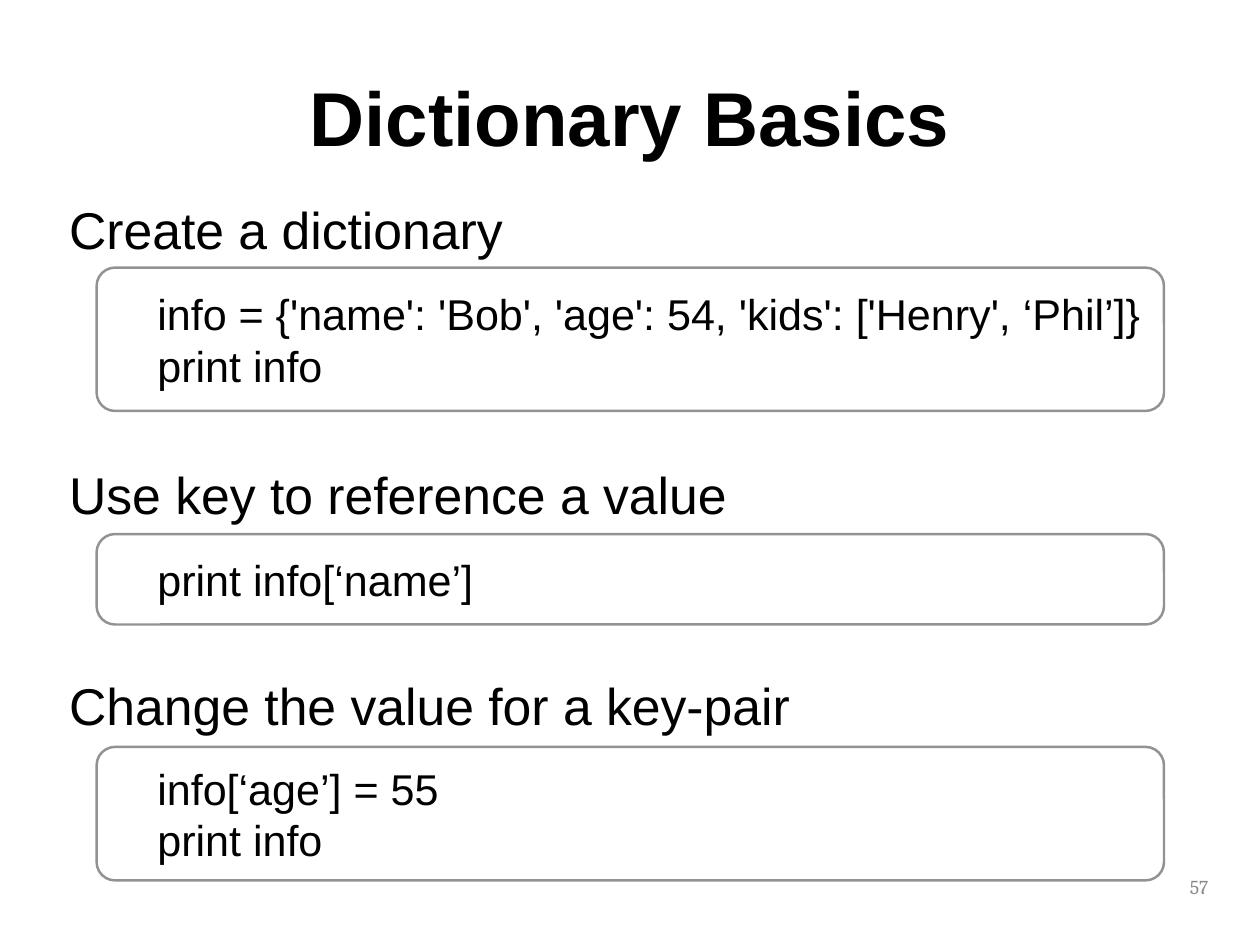
from dataclasses import dataclass

from pptx import Presentation
from pptx import util as u
from pptx.dml.color import RGBColor
from pptx.enum import shapes, text


@dataclass(frozen=True)
class Theme:
    ink: RGBColor = RGBColor(0x00, 0x00, 0x00)
    border: RGBColor = RGBColor(0x92, 0x92, 0x92)
    muted: RGBColor = RGBColor(0x88, 0x88, 0x88)
    font: str = "Arial"
    number_font: str = "Cambria"
    title_size: int = 62
    heading_size: int = 42
    code_size: int = 35
    number_size: int = 16


@dataclass(frozen=True)
class Box:
    left: float
    top: float
    width: float
    height: float

    def lengths(self) -> tuple:
        return tuple(u.Pt(v) for v in (self.left, self.top, self.width, self.height))


@dataclass(frozen=True)
class Section:
    heading: str
    heading_top: float
    code: tuple[str, ...]
    code_top: float
    code_height: float


THEME = Theme()
INSET = 5
HEADING_INSET = 10
CODE_INDENT = 40
CORNER_RADIUS = 15
TEXT_LEFT, TEXT_WIDTH, HEADING_HEIGHT = 51.2, 921.6, 67
CODE_LEFT, CODE_WIDTH = 78.5, 867.5

SECTIONS = (
    Section("Create a dictionary", 150.5,
            ("info = {'name': 'Bob', 'age': 54, 'kids': ['Henry', ‘Phil’]}", "print info"),
            217.5, 116.5),
    Section("Use key to reference a value", 366.5, ("print info[‘name’]",), 434, 73.5),
    Section("Change the value for a key-pair", 538,
            ("info[‘age’] = 55", "print info"), 607, 108.5),
)


def write(sp, lines: tuple[str, ...], size: int, *, color: RGBColor = THEME.ink,
          font: str = THEME.font, bold: bool = False, align=text.PP_ALIGN.LEFT,
          anchor=text.MSO_ANCHOR.MIDDLE, top_inset: float = INSET, indent: float = 0) -> None:
    tf = sp.text_frame
    tf.word_wrap = True
    tf.vertical_anchor = anchor
    tf.margin_left = tf.margin_right = tf.margin_bottom = u.Pt(INSET)
    tf.margin_top = u.Pt(top_inset)
    tf.text = "\n".join(lines)
    for p in tf.paragraphs:
        p.alignment = align
        if indent:
            pPr = p._p.get_or_add_pPr()
            pPr.set("marL", "0")
            pPr.set("indent", str(u.Pt(indent)))
        p.font.name = font
        p.font.size = u.Pt(size)
        p.font.bold = bold
        p.font.color.rgb = color


def add_label(s, box: Box, label: str, size: int, **style) -> None:
    write(s.shapes.add_textbox(*box.lengths()), (label,), size, **style)


def add_code_box(s, box: Box, lines: tuple[str, ...]) -> None:
    sp = s.shapes.add_shape(shapes.MSO_SHAPE.ROUNDED_RECTANGLE, *box.lengths())
    sp.adjustments[0] = CORNER_RADIUS / box.height
    sp.shadow.inherit = False
    sp.fill.background()
    sp.line.color.rgb = THEME.border
    sp.line.width = u.Pt(2)
    write(sp, lines, THEME.code_size, indent=CODE_INDENT)


def add_section(s, section: Section) -> None:
    add_label(s, Box(TEXT_LEFT, section.heading_top, TEXT_WIDTH, HEADING_HEIGHT),
              section.heading, THEME.heading_size,
              anchor=text.MSO_ANCHOR.TOP, top_inset=HEADING_INSET)
    add_code_box(s, Box(CODE_LEFT, section.code_top, CODE_WIDTH, section.code_height),
                 section.code)


def main() -> None:
    prs = Presentation()
    prs.slide_width, prs.slide_height = u.Pt(1024), u.Pt(768)
    s = prs.slides.add_slide(prs.slide_layouts[6])
    add_label(s, Box(TEXT_LEFT, 10, TEXT_WIDTH, 169), "Dictionary Basics",
              THEME.title_size, bold=True, align=text.PP_ALIGN.CENTER)
    for section in SECTIONS:
        add_section(s, section)
    add_label(s, Box(748, 705.5, 239, 29.5), "57", THEME.number_size, color=THEME.muted,
              font=THEME.number_font, align=text.PP_ALIGN.RIGHT)
    prs.save("out.pptx")


if __name__ == "__main__":
    main()
